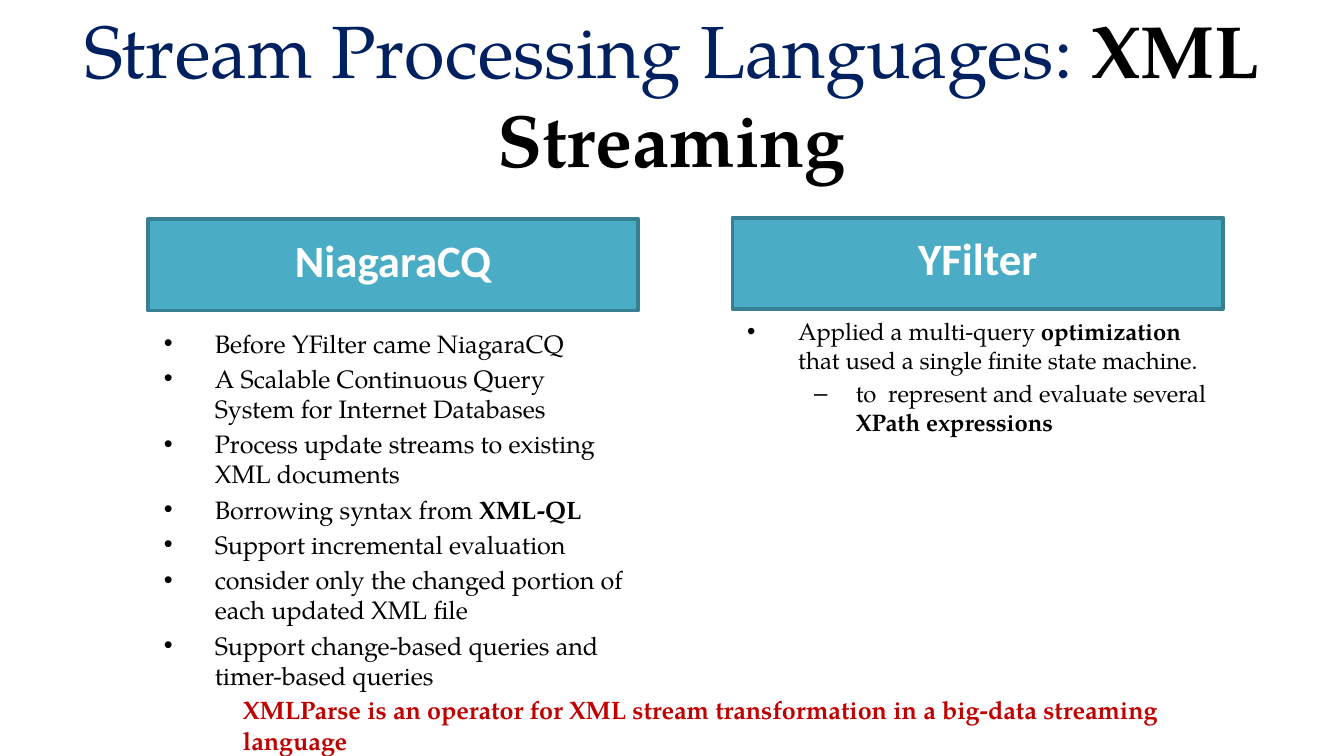
from dataclasses import dataclass

from lxml.etree import SubElement
from pptx import Presentation
from pptx.dml.color import RGBColor
from pptx.enum.shapes import MSO_SHAPE
from pptx.enum.text import MSO_ANCHOR, PP_ALIGN
from pptx.oxml.ns import qn
from pptx.util import Inches, Pt


@dataclass(frozen=True)
class Theme:
    """Colours, fonts and type sizes of the slide."""
    navy: str = "002060"
    black: str = "000000"
    white: str = "FFFFFF"
    red: str = "C00000"
    teal: str = "4BACC6"
    teal_edge: str = "377F92"
    serif: str = "TeX Gyre Pagella"
    sans: str = "Calibri"
    title_size: float = 39.6
    header_size: float = 24
    note_size: float = 13.5
    spacing: float = 0.2


THEME = Theme()

TITLE = [("Stream Processing Languages: ", False), ("XML Streaming", True)]
NOTE = [("XMLParse is an operator for XML stream transformation in a big-data streaming language", True)]
COLUMNS = [
    {
        "header": "NiagaraCQ", "header_at": (1.1, 1.63),
        "list_at": (1.12, 2.39, 3.65, 2.75), "size": 13.5,
        "items": [
            (0, [("Before YFilter came NiagaraCQ", False)]),
            (0, [("A Scalable Continuous Query System for Internet Databases", False)]),
            (0, [("Process update streams to existing XML documents", False)]),
            (0, [("Borrowing syntax from ", False), ("XML-QL", True)]),
            (0, [("Support incremental evaluation", False)]),
            (0, [("consider only the changed portion of each updated XML file", False)]),
            (0, [("Support change-based queries and timer-based queries", False)]),
        ],
    },
    {
        "header": "YFilter", "header_at": (5.45, 1.62),
        "list_at": (5.46, 2.31, 3.65, 2.1), "size": 12.75,
        "items": [
            (0, [("Applied a multi-query ", False), ("optimization", True),
                 (" that used a single finite state machine.", False)]),
            (1, [("to  represent and evaluate several ", False), ("XPath expressions", True)]),
        ],
    },
]
HEADER_SIZE = (3.65, 0.68)
BULLETS = [("•", 0.38, -0.38), ("–", 0.81, -0.31)]


def color(code):
    return RGBColor.from_string(code)


def write(para, spans, size, ink, font=THEME.serif):
    for text, bold in spans:
        span = para.add_run()
        span.text = text
        span.font.name = font
        span.font.size = Pt(size)
        span.font.bold = bold
        span.font.color.rgb = color(ink)


def add_box(page, at):
    box = page.shapes.add_textbox(*map(Inches, at))
    box.text_frame.word_wrap = True
    return box


def add_header(page, text, at):
    box = page.shapes.add_shape(MSO_SHAPE.RECTANGLE, *map(Inches, at + HEADER_SIZE))
    box.shadow.inherit = False
    box.fill.solid()
    box.fill.fore_color.rgb = color(THEME.teal)
    box.line.color.rgb = color(THEME.teal_edge)
    box.line.width = Pt(2)
    frame = box.text_frame
    frame.word_wrap = True
    frame.vertical_anchor = MSO_ANCHOR.BOTTOM
    frame.margin_bottom = Inches(0.18)
    para = frame.paragraphs[0]
    para.alignment = PP_ALIGN.CENTER
    write(para, [(text, True)], THEME.header_size, THEME.white, THEME.sans)


def add_list(page, items, at, size):
    frame = add_box(page, at).text_frame
    for index, (level, spans) in enumerate(items):
        para = frame.add_paragraph() if index else frame.paragraphs[0]
        para.level = level
        para.space_before = Pt(round(size * THEME.spacing, 1))
        mark, margin, indent = BULLETS[level]
        properties = para._p.get_or_add_pPr()
        properties.set("marL", str(Inches(margin)))
        properties.set("indent", str(Inches(indent)))
        SubElement(properties, qn("a:buFont"), typeface="Arial")
        SubElement(properties, qn("a:buChar"), char=mark)
        write(para, spans, size, THEME.black)


def main():
    deck = Presentation()
    deck.slide_width = Inches(10)
    deck.slide_height = deck.slide_width * 9 // 16
    page = deck.slides.add_slide(deck.slide_layouts[6])

    title = add_box(page, (0.5, 0.23, 9, 0.94))
    title.text_frame.vertical_anchor = MSO_ANCHOR.MIDDLE
    title.text_frame.margin_top = Inches(0.04)
    para = title.text_frame.paragraphs[0]
    para.alignment = PP_ALIGN.CENTER
    for part, ink in zip(TITLE, (THEME.navy, THEME.black)):
        write(para, [part], THEME.title_size, ink)

    for column in COLUMNS:
        add_header(page, column["header"], column["header_at"])
        add_list(page, column["items"], column["list_at"], column["size"])

    note = add_box(page, (1.71, 5.12, 7.76, 0.56))
    write(note.text_frame.paragraphs[0], NOTE, THEME.note_size, THEME.red)
    deck.save("out.pptx")


if __name__ == "__main__":
    main()
